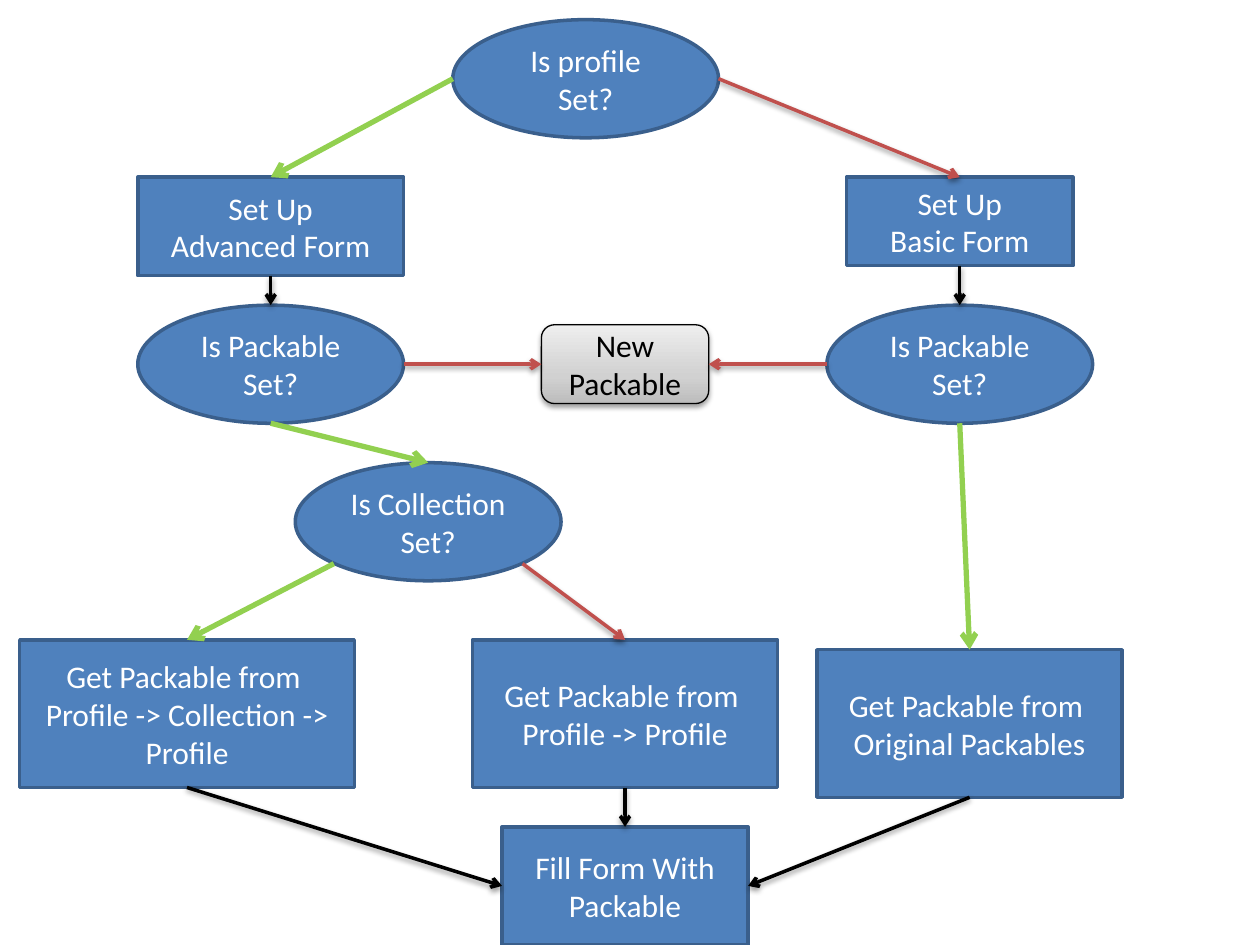
"""Build the flowchart slide that decides how a form gets its packable."""
from dataclasses import dataclass

from lxml.etree import SubElement
from pptx import Presentation
from pptx.dml.color import RGBColor
from pptx.enum.shapes import MSO_CONNECTOR as Connector, MSO_SHAPE as Preset
from pptx.enum.text import MSO_ANCHOR as Anchor, PP_ALIGN as Align
from pptx.oxml.ns import qn
from pptx.util import Pt

COLORS = {
    "box": "4F81BD", "outline": "3A5F8C", "white": "FFFFFF", "black": "000000",
    "yes": "92D050", "no": "C0504D",
    "grey_dark": "BDBDBD", "grey_middle": "D1D1D1", "grey_light": "EEEEEE",
}
GRADIENT = ((0, "grey_dark"), (35, "grey_middle"), (100, "grey_light"))
GRID = 45 / 8
SIDES = {
    "top": (0, -1), "top_left": (-0.71, -0.71), "left": (-1, 0),
    "bottom_left": (-0.71, 0.71), "bottom": (0, 1),
    "bottom_right": (0.71, 0.71), "right": (1, 0), "top_right": (0.71, -0.71),
}
BOX_SITES = ("top", "left", "bottom", "right")


@dataclass(frozen=True)
class Node:
    """A flowchart step, placed in grid units."""
    text: str
    left: int
    top: int
    width: int = 27
    height: int = 12
    preset: Preset = Preset.RECTANGLE

    def point(self, side: str) -> tuple:
        across, down = SIDES[side]
        return (Pt(GRID * (self.left + self.width * (1 + across) / 2)),
                Pt(GRID * (self.top + self.height * (1 + down) / 2)))

    def site(self, side: str) -> int:
        sites = tuple(SIDES) if self.preset == Preset.OVAL else BOX_SITES
        return sites.index(side)


@dataclass(frozen=True)
class Arrow:
    """A link between the sides of two steps."""
    start: str
start_side: str = ""


@dataclass(frozen=True)
class Link:
    """An arrow from a side of one step to a side of another."""
    start: str
    start_side: str
    end: str
    end_side: str
    color: str = "black"


NODES = {
    "basic": Node("Set Up\nBasic Form", 86, 18, 23, 9),
    "advanced": Node("Set Up\nAdvanced Form", 14, 18, 27, 10),
    "profile": Node("Is profile Set?", 46, 2, preset=Preset.OVAL),
    "fill": Node("Fill Form With Packable", 51, 84, 25, 12),
    "collection": Node("Is Collection Set?", 30, 47, preset=Preset.OVAL),
    "from_collection": Node(
        "Get Packable from \nProfile -> Collection -> Profile", 2, 65, 34, 15),
    "from_profile": Node("Get Packable from \nProfile -> Profile", 48, 65, 31, 15),
    "new": Node("New Packable", 55, 33, 17, 8, Preset.ROUNDED_RECTANGLE),
    "from_original": Node("Get Packable from \nOriginal Packables", 83, 66, 31, 15),
    "basic_packable": Node("Is Packable Set?", 84, 31, preset=Preset.OVAL),
    "advanced_packable": Node("Is Packable Set?", 14, 31, preset=Preset.OVAL),
}
LINKS = (
    Link("collection", "bottom_left", "from_collection", "top", "yes"),
    Link("collection", "bottom_right", "from_profile", "top", "no"),
    Link("from_collection", "bottom", "fill", "left"),
    Link("from_profile", "bottom", "fill", "top"),
    Link("from_original", "bottom", "fill", "right"),
    Link("profile", "left", "advanced", "top", "yes"),
    Link("profile", "right", "basic", "top", "no"),
    Link("advanced", "bottom", "advanced_packable", "top"),
    Link("advanced_packable", "bottom", "collection", "top", "yes"),
    Link("advanced_packable", "right", "new", "left", "no"),
    Link("basic_packable", "left", "new", "right", "no"),
    Link("basic", "bottom", "basic_packable", "top"),
    Link("basic_packable", "bottom", "from_original", "top", "yes"),
)


def rgb(name: str) -> RGBColor:
    return RGBColor.from_string(COLORS[name])


def add_color(parent, name: str):
    return SubElement(parent, qn("a:srgbClr"), val=COLORS[name])


def set_line(line, color: str, width: float) -> None:
    line.color.rgb = rgb(color)
    line.width = Pt(width)


def set_effects(shape, shadow: bool) -> None:
    effects = SubElement(shape._element.spPr, qn("a:effectLst"))
    if shadow:
        outer = SubElement(effects, qn("a:outerShdw"), blurRad=str(Pt(3.15)),
                           dist=str(Pt(1.57)), dir="5400000", rotWithShape="0")
        SubElement(add_color(outer, "black"), qn("a:alpha"), val="38000")


def set_gradient(shape) -> None:
    shape.fill.gradient()
    shape.fill.gradient_angle = 90
    stops = shape._element.spPr.find(".//" + qn("a:gsLst"))
    for stop in list(stops):
        stops.remove(stop)
    for position, color in GRADIENT:
        add_color(SubElement(stops, qn("a:gs"), pos=str(position * 1000)), color)


def write_text(shape, text: str, *, color: str, size: float = 18,
               font: str = "Calibri", align: Align = Align.CENTER) -> None:
    frame = shape.text_frame
    frame.word_wrap = True
    frame.vertical_anchor = Anchor.MIDDLE
    frame.text = text
    for paragraph in frame.paragraphs:
        paragraph.alignment = align
        for run in paragraph.runs:
            run.font.name = font
            run.font.size = Pt(size)
            run.font.color.rgb = rgb(color)


def draw_node(slide, node: Node):
    shape = slide.shapes.add_shape(node.preset, *(
        Pt(GRID * units) for units in (node.left, node.top, node.width, node.height)))
    is_new = node.preset == Preset.ROUNDED_RECTANGLE
    if is_new:
        set_gradient(shape)
        set_line(shape.line, "black", 0.75)
    else:
        shape.fill.solid()
        shape.fill.fore_color.rgb = rgb("box")
        set_line(shape.line, "outline", 2)
    set_effects(shape, shadow=is_new)
    write_text(shape, node.text, color="black" if is_new else "white")
    return shape


def draw_link(slide, link: Link, shapes: dict) -> None:
    start, end = NODES[link.start], NODES[link.end]
    connector = slide.shapes.add_connector(
        Connector.STRAIGHT, *start.point(link.start_side), *end.point(link.end_side))
    is_yes = link.color == "yes"
    set_line(connector.line, link.color, 3 if is_yes else 2)
    SubElement(connector._element.spPr.find(qn("a:ln")), qn("a:tailEnd"), type="arrow")
    set_effects(connector, shadow=not is_yes)
    glue = connector._element.find(".//" + qn("p:cNvCxnSpPr"))
    for tag, name, site in (("a:stCxn", link.start, start.site(link.start_side)),
                            ("a:endCxn", link.end, end.site(link.end_side))):
        SubElement(glue, qn(tag), id=str(shapes[name].shape_id), idx=str(site))


def main() -> None:
    presentation = Presentation()
    presentation.slide_width, presentation.slide_height = Pt(720), Pt(540)
    slide = presentation.slides.add_slide(presentation.slide_layouts[6])
    shapes = {name: draw_node(slide, node) for name, node in NODES.items()}
    for link in LINKS:
        draw_link(slide, link, shapes)
    presentation.save("out.pptx")


main()
